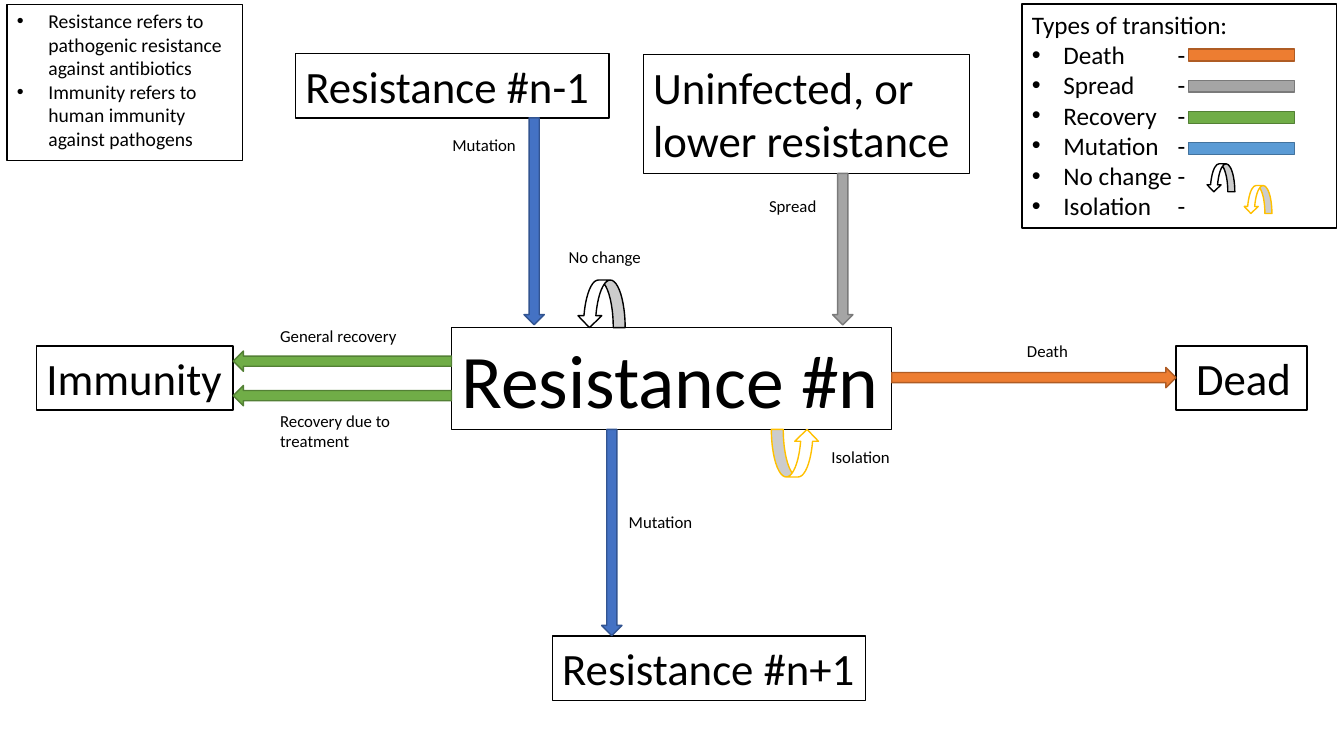
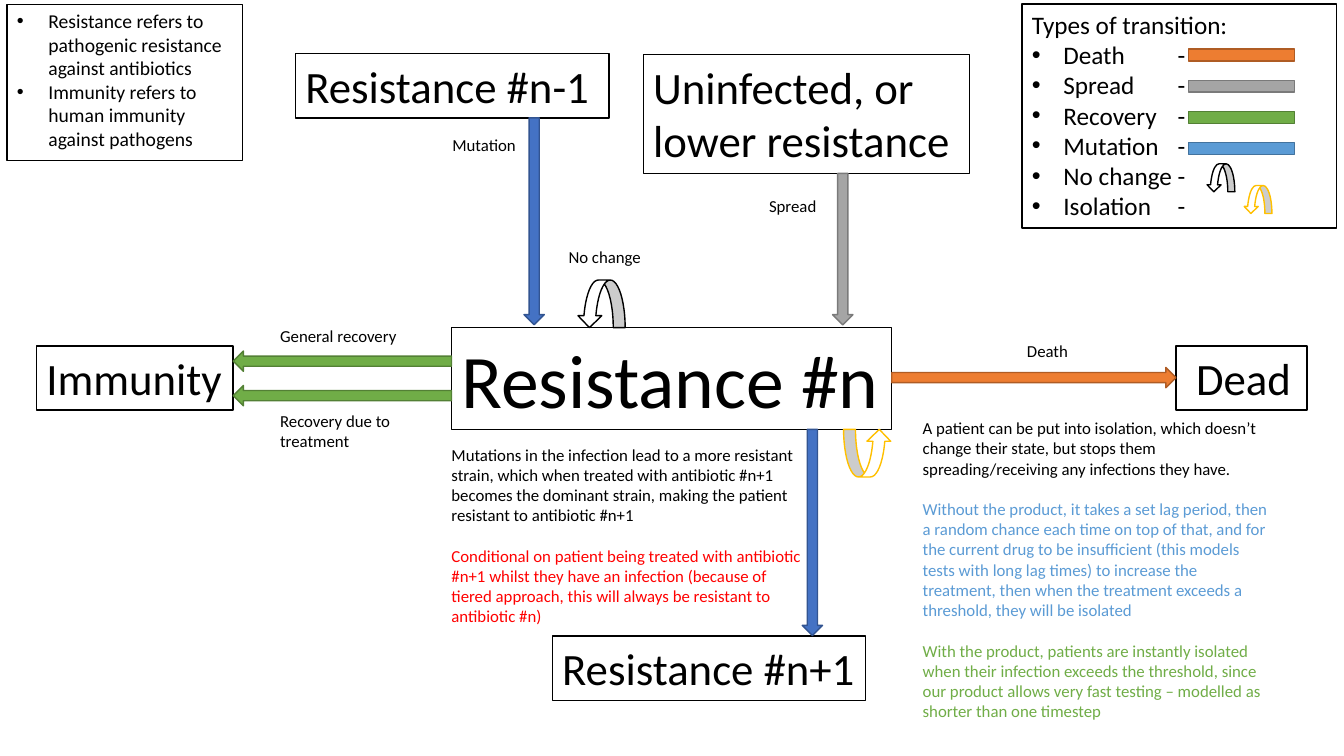
from lxml import etree
from pptx import Presentation
from pptx.dml.color import RGBColor
from pptx.enum import shapes, text
from pptx.oxml import ns
from pptx.util import Pt

FONT = "Calibri"
BLACK, WHITE, RED, GOLD = "000000", "FFFFFF", "FF0000", "FFC000"
BLUE, SKY, GREEN, ORANGE, GRAY = "4472C4", "5B9BD5", "70AD47", "ED7D31", "A5A5A5"
OUTLINES = {BLUE: "325491", SKY: "43739E", GREEN: "538035", ORANGE: "AF5C24", GRAY: "7A7A7A"}
INSET = 7.2
BULLET_INDENT = 22.5
ARROW_WIDTH = 14.5
LOOP_SIZE = 34

DEFINITIONS = [
    "Resistance refers to pathogenic resistance against antibiotics",
    "Immunity refers to human immunity against pathogens",
]
TRANSITIONS = ["Death", "Spread", "Recovery", "Mutation", "No change", "Isolation"]
MUTATION_NOTES = [
    ("Mutations in the infection lead to a more resistant strain, which when treated with "
     "antibiotic #n+1 becomes the dominant strain, making the patient resistant to "
     "antibiotic #n+1", BLACK),
    ("Conditional on patient being treated with antibiotic #n+1 whilst they have an infection "
     "(because of tiered approach, this will always be resistant to antibiotic #n)", RED),
]
ISOLATION_NOTES = [
    ("A patient can be put into isolation, which doesn’t change their state, but stops them "
     "spreading/receiving any infections they have.", BLACK),
    ("Without the product, it takes a set lag period, then a random chance each time on top of "
     "that, and for the current drug to be insufficient (this models tests with long lag times) "
     "to increase the treatment, then when the treatment exceeds a threshold, they will be "
     "isolated", SKY),
    ("With the product, patients are instantly isolated when their infection exceeds the "
     "threshold, since our product allows very fast testing – modelled as shorter than one "
     "timestep", GREEN),
]


def color(value):
    return RGBColor.from_string(value)


def paint(shape, fill, line):
    shape.fill.solid()
    shape.fill.fore_color.rgb = color(fill)
    shape.line.color.rgb = color(line)
    shape.line.width = Pt(1)


def add_text(slide, box, framed=False, inset=INSET):
    shape = slide.shapes.add_textbox(*map(Pt, box))
    frame = shape.text_frame
    frame.word_wrap = True
    frame.auto_size = text.MSO_AUTO_SIZE.SHAPE_TO_FIT_TEXT
    frame.margin_left = Pt(inset)
    if framed:
        paint(shape, WHITE, BLACK)
    return frame


def add_paragraph(frame, words, size, shade=BLACK):
    paragraph = frame.paragraphs[0]
    if paragraph.runs:
        paragraph = frame.add_paragraph()
    run = paragraph.add_run()
    run.text = words
    run.font.name = FONT
    run.font.size = Pt(size)
    run.font.color.rgb = color(shade)
    return paragraph


def add_bullet(paragraph, tab=None):
    properties = paragraph._p.get_or_add_pPr()
    properties.set("marL", str(Pt(BULLET_INDENT)))
    properties.set("indent", str(-Pt(BULLET_INDENT)))
    etree.SubElement(properties, ns.qn("a:buFont"), typeface="Arial")
    etree.SubElement(properties, ns.qn("a:buChar"), char="•")
    if tab:
        tabs = etree.SubElement(properties, ns.qn("a:tabLst"))
        etree.SubElement(tabs, ns.qn("a:tab"), pos=str(Pt(tab)), algn="l")


def add_state(slide, box, name, size=32, inset=INSET):
    add_paragraph(add_text(slide, box, True, inset), name, size)


def add_caption(slide, left, top, width, words):
    add_paragraph(add_text(slide, (left, top, width, 21.8)), words, 12)


def add_preset(slide, preset, box, fill, line, rotation=0):
    shape = slide.shapes.add_shape(preset, *map(Pt, box))
    shape.shadow.inherit = False
    shape.rotation = rotation
    paint(shape, fill, line)


def add_arrow(slide, start, end, fill):
    across, down = end[0] - start[0], end[1] - start[1]
    length = abs(across) + abs(down)
    rotation = 0 if across == 0 else 90 if across < 0 else 270
    left = (start[0] + end[0] - ARROW_WIDTH) / 2
    top = (start[1] + end[1] - length) / 2
    add_preset(slide, shapes.MSO_SHAPE.DOWN_ARROW, (left, top, ARROW_WIDTH, length),
               fill, OUTLINES[fill], rotation)


def add_loop(slide, left, top, line, rotation=90, size=LOOP_SIZE):
    add_preset(slide, shapes.MSO_SHAPE.CURVED_RIGHT_ARROW, (left, top, size, size),
               WHITE, line, rotation)


def add_definitions(slide, box):
    frame = add_text(slide, box, True)
    for definition in DEFINITIONS:
        add_bullet(add_paragraph(frame, definition, 14))


def add_legend(slide, box):
    left, top = box[:2]
    frame = add_text(slide, box, True)
    add_paragraph(frame, "Types of transition:", 18)
    for name in TRANSITIONS:
        add_bullet(add_paragraph(frame, name + "\t-", 18), 104)
    for row, fill in enumerate([ORANGE, GRAY, GREEN, SKY]):
        add_preset(slide, shapes.MSO_SHAPE.RECTANGLE,
                   (left + 119, top + 32 + 22.3 * row, 75.5, 8.6), fill, OUTLINES[fill])
    add_loop(slide, left + 132, top + 114, BLACK, size=20)
    add_loop(slide, left + 158.5, top + 129.5, GOLD, size=20)


def add_diagram(slide, mutation_x, isolation_left):
    left, top, width, height = center = (322.5, 234, 314.5, 72.7)
    right, bottom = left + width, top + height
    add_state(slide, center, "Resistance #n", 54)
    add_state(slide, (394.5, 454.3, 224, 46), "Resistance #n+1")
    add_state(slide, (211, 38.2, 224, 46), "Resistance #n-1")
    add_state(slide, (459.5, 38.9, 233, 85), "Uninfected, or lower resistance")
    add_state(slide, (840, 247, 93.6, 46), "Dead", inset=2 * INSET)
    add_state(slide, (26, 247, 140.4, 46), "Immunity")
    add_arrow(slide, (381.6, 84.2), (381.6, top - 2), BLUE)
    add_arrow(slide, (602, 123.9), (602, top - 2), GRAY)
    add_arrow(slide, (mutation_x, bottom), (mutation_x, 454), BLUE)
    add_arrow(slide, (right, 269.7), (840, 269.7), ORANGE)
    for level in (258, 282.6):
        add_arrow(slide, (left, level), (166.6, level), GREEN)
    add_loop(slide, 412.5, top - LOOP_SIZE, BLACK)
    add_loop(slide, isolation_left, bottom, GOLD, 270)
    for caption in [
        (193, 229, 104.4, "General recovery"),
        (193, 289.5, 104.4, "Recovery due to treatment"),
        (726.5, 239.8, 45.4, "Death"),
        (399, 172.8, 66.2, "No change"),
        (316, 92.9, 66.2, "Mutation"),
        (542.2, 136, 66.2, "Spread"),
    ]:
        add_caption(slide, *caption)


def add_notes(slide, box, notes):
    frame = add_text(slide, box)
    for index, (words, shade) in enumerate(notes):
        paragraph = add_paragraph(frame, words, 12, shade)
        paragraph.space_before = Pt(14.6 if index else 0)


def add_model_slide(presentation, mutation_x, isolation_left):
    slide = presentation.slides.add_slide(presentation.slide_layouts[6])
    add_diagram(slide, mutation_x, isolation_left)
    add_legend(slide, (730, 3, 224.6, 160))
    add_definitions(slide, (5, 3, 168.5, 111.6))
    return slide


def build():
    presentation = Presentation()
    presentation.slide_width, presentation.slide_height = Pt(960), Pt(540)
    overview = add_model_slide(presentation, 437, 551)
    add_caption(overview, 442, 362.2, 66.2, "Mutation")
    add_caption(overview, 586.8, 315.4, 66.2, "Isolation")
    explained = add_model_slide(presentation, 580.3, 602.6)
    add_notes(explained, (315.4, 314, 264.2, 138.2), MUTATION_NOTES)
    add_notes(explained, (652, 295, 264.2, 225.4), ISOLATION_NOTES)
    presentation.save("out.pptx")


build()
